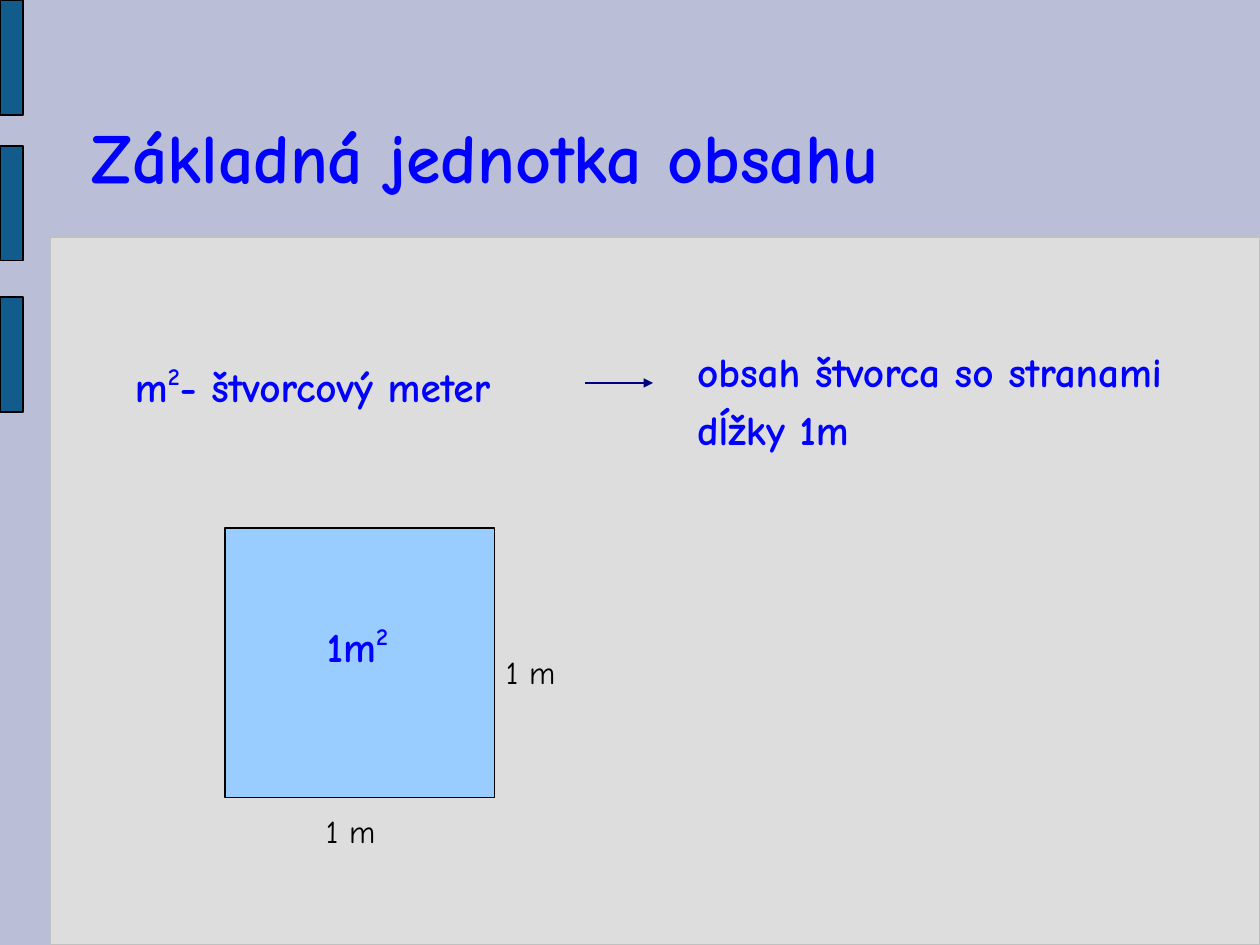
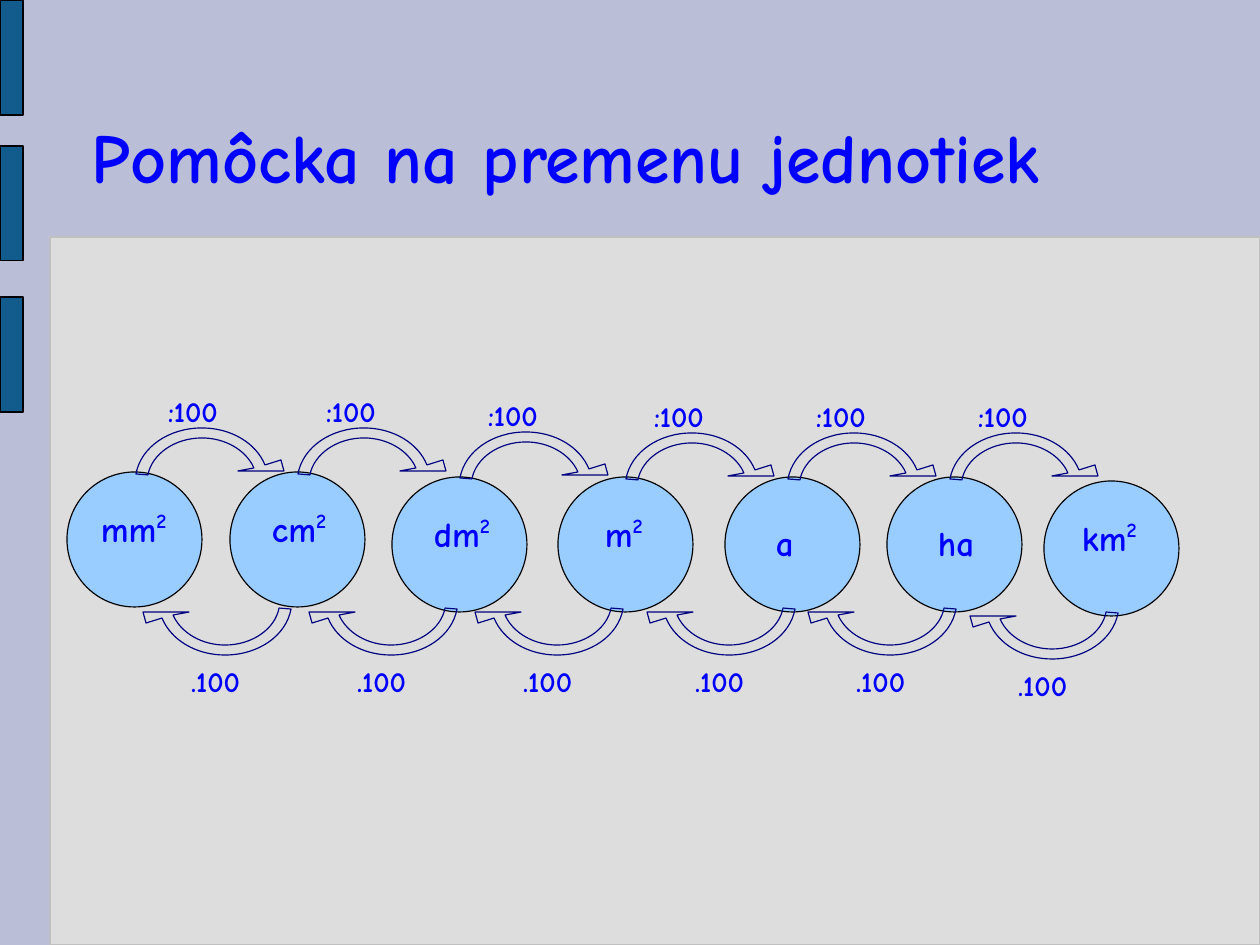
"""Builds two slides on area units: the square metre and a conversion aid."""
from dataclasses import dataclass

from lxml import etree
from pptx import Presentation
from pptx import util as u
from pptx.dml.color import RGBColor
from pptx.enum import shapes, text
from pptx.oxml.ns import qn

PX = 8000


@dataclass(frozen=True)
class Theme:
    font: str = "Comic Neue"
    background: RGBColor = RGBColor(0xBA, 0xBE, 0xD6)
    panel: RGBColor = RGBColor(0xDD, 0xDD, 0xDD)
    panel_edge: RGBColor = RGBColor(0xC0, 0xC0, 0xC0)
    bar: RGBColor = RGBColor(0x12, 0x5C, 0x8D)
    figure: RGBColor = RGBColor(0x99, 0xCC, 0xFF)
    blue: RGBColor = RGBColor(0x00, 0x00, 0xFF)
    navy: RGBColor = RGBColor(0x00, 0x00, 0x80)
    black: RGBColor = RGBColor(0x00, 0x00, 0x00)
    title: int = 44
    body: int = 26
    unit: int = 22
    side: int = 20
    factor: int = 18
    line: float = 0.75


T = Theme()


def write(box, parts, size, color=T.blue, bold=True, inset=(12, 6)):
    """Fill a text box; every second part is raised."""
    frame = box.text_frame
    frame.word_wrap = True
    frame.auto_size = text.MSO_AUTO_SIZE.NONE
    frame.margin_left = frame.margin_right = inset[0] * PX
    frame.margin_top = frame.margin_bottom = inset[1] * PX
    paragraph = frame.paragraphs[0]
    paragraph.alignment = text.PP_ALIGN.LEFT
    paragraph.line_spacing = 1.17
    for index, part in enumerate(parts):
        run = paragraph.add_run()
        run.text = part
        run.font.name = T.font
        run.font.size = u.Pt(size)
        run.font.bold = bold
        run.font.color.rgb = color
        if index % 2:
            run.font._element.set("baseline", "42000")


def draw(parent, kind, box, fill, edge=T.black):
    """Add a filled preset shape with a thin outline."""
    shape = parent.shapes.add_shape(kind, *(v * PX for v in box))
    shape.shadow.inherit = False
    shape.fill.solid()
    shape.fill.fore_color.rgb = fill
    shape.line.color.rgb = edge
    shape.line.width = u.Pt(T.line)
    return shape


prs = Presentation()
prs.slide_width, prs.slide_height = 1260 * PX, 945 * PX
layout = prs.slide_layouts[5]
background = prs.slide_master.background.fill
background.solid()
background.fore_color.rgb = T.background

pages = []
for heading in ("Základná jednotka obsahu", "Pomôcka na premenu jednotiek"):
    page = prs.slides.add_slide(layout)
    title = page.shapes.title
    title.left, title.top, title.width, title.height = (v * PX for v in (92, 69, 1076, 158))
    title.text_frame.vertical_anchor = text.MSO_ANCHOR.MIDDLE
    write(title, [heading], T.title, inset=(0, 0))
    pages.append(page)
metre_page, units_page = pages

RECT = shapes.MSO_SHAPE.RECTANGLE
decor = [draw(metre_page, RECT, (50, 237, 1210, 708), T.panel, T.panel_edge)]
decor += [draw(metre_page, RECT, (0, top, 23, 115), T.bar) for top in (0, 146, 297)]
for position, part in enumerate(decor, start=2):
    layout.shapes.element.insert(position, part.element)

for box, parts in (
    ((697, 338, 518, 115), ["obsah štvorca so stranami dĺžky 1m"]),
    ((135, 353, 472, 75), ["m", "2", "- štvorcový meter"]),
):
    statement = metre_page.shapes.add_textbox(*(v * PX for v in box))
    write(statement, parts, T.body, inset=(0, 0))

pointer = metre_page.shapes.add_connector(
    shapes.MSO_CONNECTOR.STRAIGHT, 585 * PX, 383 * PX, 653 * PX, 383 * PX)
pointer.line.color.rgb = T.navy
pointer.line.width = u.Pt(T.line)
etree.SubElement(pointer.line._get_or_add_ln(), qn("a:tailEnd"), type="triangle")
etree.SubElement(pointer._element.spPr, qn("a:effectLst"))

square = metre_page.shapes.add_group_shape()
draw(square, RECT, (225, 528, 270, 270), T.figure)
for left, top in ((494, 640), (314, 799)):
    side = square.shapes.add_textbox(left * PX, top * PX, 90 * PX, 56 * PX)
    write(side, ["1 m"], T.side, T.black, bold=False)
area = metre_page.shapes.add_textbox(315 * PX, 607 * PX, 135 * PX, 86 * PX)
write(area, ["1m", "2"], T.body)

units = units_page.shapes.add_group_shape()
for parts, left, top, label_left in (
    (["mm", "2"], 67, 472, 89),
    (["cm", "2"], 230, 472, 260),
    (["dm", "2"], 392, 477, 422),
    (["m", "2"], 558, 477, 593),
    (["a"], 725, 477, 764),
    (["ha"], 887, 477, 926),
    (["km", "2"], 1044, 481, 1070),
):
    draw(units, shapes.MSO_SHAPE.OVAL, (left, top, 135, 135), T.figure)
    label_top = top + (23 if len(parts) == 2 else 32)
    unit = units.shapes.add_textbox(label_left * PX, label_top * PX, 135 * PX, 74 * PX)
    write(unit, parts, T.unit)

ARROW_WIDTH, ARROW_HEIGHT = 134, 106
ARC_ARROW = (
    ("a:moveTo", [(119, 40)]),
    ("a:cubicBezTo", [(111, 22), (90, 10), (67, 10)]),
    ("a:cubicBezTo", [(40, 10), (17, 26), (13, 47)]),
    ("a:lnTo", [(1, 46)]),
    ("a:cubicBezTo", [(6, 19), (34, 0), (67, 0)]),
    ("a:cubicBezTo", [(96, 0), (121, 15), (130, 37)]),
    ("a:lnTo", [(146, 32)]),
    ("a:lnTo", [(149, 43)]),
    ("a:lnTo", [(103, 43)]),
    ("a:close", []),
)
corners = [points[-1] for tag, points in ARC_ARROW if points]

divide = [(x, y, label, y - 46) for x, y, label in (
    (135, 428, 156), (297, 428, 314), (459, 432, 476),
    (625, 433, 642), (787, 433, 804), (949, 433, 966))]
multiply = [(x, y, x + 21, y + 103) for x, y in (
    (158, 549), (324, 549), (490, 549), (662, 549), (823, 549), (985, 553))]
for caption, turn, steps in ((":100", 0, divide), (".100", 180, multiply)):
    row = units_page.shapes.add_group_shape()
    for left, top, label_left, label_top in steps:
        builder = row.shapes.build_freeform(*corners[0], scale=PX)
        builder.add_line_segments(corners[1:], close=True)
        arrow = builder.convert_to_shape(left, top)
        outline = arrow._element.find(".//" + qn("a:path"))
        outline.clear()
        outline.set("w", str(ARROW_WIDTH * PX))
        outline.set("h", str(ARROW_HEIGHT * PX))
        for tag, points in ARC_ARROW:
            segment = etree.SubElement(outline, qn(tag))
            for x, y in points:
                etree.SubElement(segment, qn("a:pt"), x=str(x * PX), y=str(y * PX))
        arrow.left, arrow.top = left * PX, top * PX
        arrow.width, arrow.height = ARROW_WIDTH * PX, ARROW_HEIGHT * PX
        arrow.rotation = turn
        arrow.shadow.inherit = False
        arrow.fill.background()
        arrow.line.color.rgb = T.navy
        arrow.line.width = u.Pt(T.line)
        factor = row.shapes.add_textbox(label_left * PX, label_top * PX, 113 * PX, 51 * PX)
        write(factor, [caption], T.factor)

prs.save("out.pptx")
